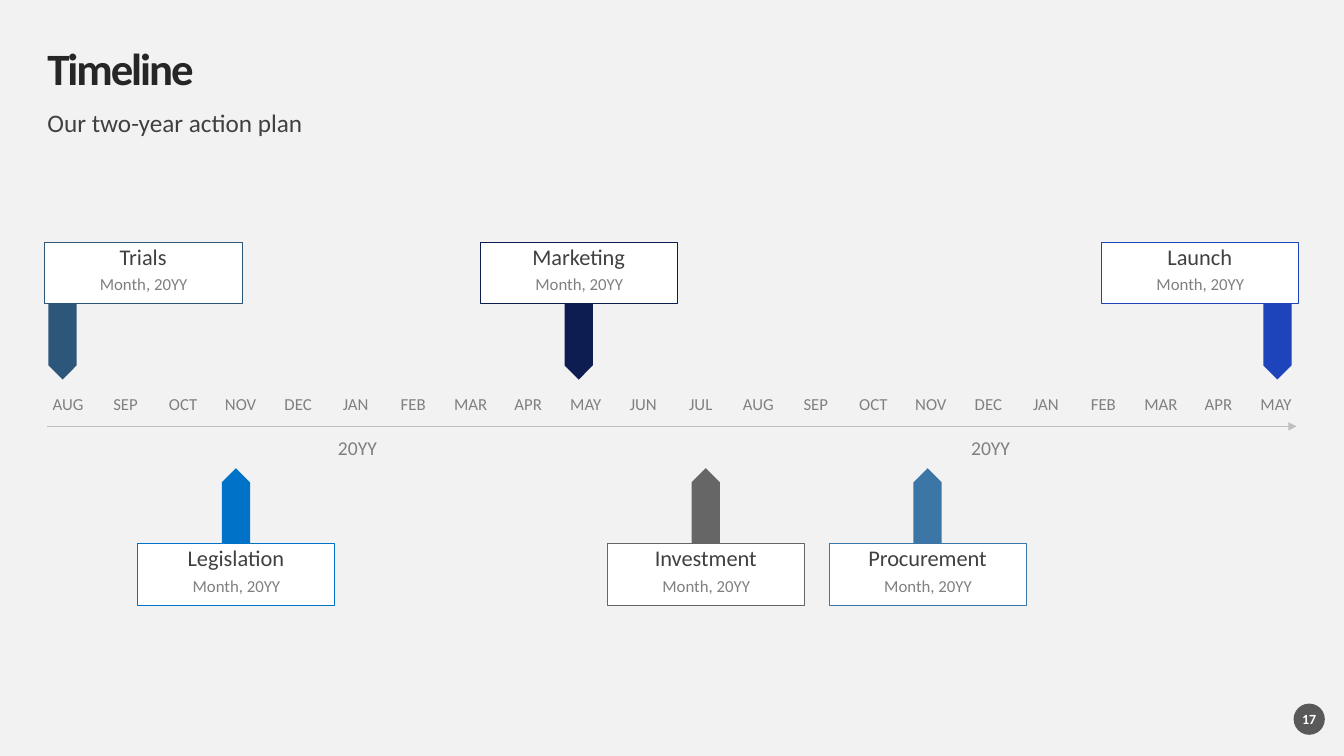
"""Build a two-year timeline slide with milestone callouts."""
from lxml import etree
from pptx import Presentation
from pptx.dml.color import RGBColor
from pptx.enum import shapes, text
from pptx.oxml import ns
from pptx.util import Inches, Pt

COLORS = {
    "background": "F2F2F2", "title": "262626", "body": "404040",
    "muted": "808080", "axis": "BFBFBF", "badge": "595959",
    "white": "FFFFFF", "trials": "2C567A", "legislation": "0072C7",
    "marketing": "0D1D51", "investment": "666666",
    "procurement": "3C76A6", "launch": "1E44BC",
}
FONT = "Calibri"
LEFT, WIDTH = 0.47, 12.39
MONTHS = ("AUG SEP OCT NOV DEC JAN FEB MAR APR MAY JUN "
          "JUL AUG SEP OCT NOV DEC JAN FEB MAR APR MAY").split()
MONTH_W = 0.41
MONTH_STEP = (WIDTH - MONTH_W) / (len(MONTHS) - 1)
BOX_W, BOX_H = 1.96, 0.61
PIN_LENGTH, PIN_W = 0.75, 0.28
MILESTONES = [
    ("Trials", 0.44, 0.62, True),
    ("Legislation", 1.36, 2.34, False),
    ("Marketing", 4.76, 5.74, True),
    ("Investment", 6.02, 7.0, False),
    ("Procurement", 8.22, 9.2, False),
    ("Launch", 10.92, 12.67, True),
]


def rgb(name):
    return RGBColor.from_string(COLORS[name])


def write(sp, words, size, color, bold=False, center=True, middle=False,
          inset=0, spacing=0.9, before=10):
    tf = sp.text_frame
    tf.text = words
    tf.word_wrap = True
    tf.margin_left = tf.margin_right = tf.margin_bottom = 0
    tf.margin_top = Inches(inset)
    tf.vertical_anchor = text.MSO_ANCHOR.MIDDLE if middle else text.MSO_ANCHOR.TOP
    p = tf.paragraphs[0]
    p.alignment = text.PP_ALIGN.CENTER if center else text.PP_ALIGN.LEFT
    p.line_spacing = spacing
    p.space_before = Pt(before)
    r = p.runs[0]
    r.font.name = FONT
    r.font.size = Pt(size)
    r.font.bold = bold
    r.font.color.rgb = rgb(color)
    return r


def add_label(s, at, words, size, color, **style):
    sp = s.shapes.add_textbox(*map(Inches, at))
    return write(sp, words, size, color, **style)


def add_block(s, kind, at, fill, line=None):
    sp = s.shapes.add_shape(kind, *map(Inches, at))
    sp.shadow.inherit = False
    sp.fill.solid()
    sp.fill.fore_color.rgb = rgb(fill)
    if line:
        sp.line.color.rgb = rgb(line)
        sp.line.width = Pt(0.25)
    else:
        sp.line.fill.background()
    return sp


def add_axis(s, y):
    axis = s.shapes.add_connector(
        shapes.MSO_CONNECTOR.STRAIGHT,
        Inches(LEFT), Inches(y), Inches(LEFT + WIDTH), Inches(y))
    axis.line.color.rgb = rgb("axis")
    axis.line.width = Pt(0.5)
    tail = etree.SubElement(axis.line._get_or_add_ln(), ns.qn("a:tailEnd"))
    tail.set("type", "triangle")
    etree.SubElement(axis._element.spPr, ns.qn("a:effectLst"))


def add_milestone(s, name, left, pin_x, above):
    color = name.lower()
    box_y, pin_y = (2.4, 3.25) if above else (5.39, 4.88)
    pin = add_block(s, shapes.MSO_SHAPE.PENTAGON,
                    (pin_x - PIN_LENGTH / 2, pin_y, PIN_LENGTH, PIN_W), color)
    pin.rotation = 90 if above else 270
    box = add_block(s, shapes.MSO_SHAPE.RECTANGLE,
                    (left, box_y, BOX_W, BOX_H), "white", color)
    write(box, name, 16, "body", inset=0.04)
    add_label(s, (left + 0.06, box_y + 0.34, 1.85, 0.25),
              "Month, 20YY", 12, "muted")


def main():
    prs = Presentation()
    prs.slide_width, prs.slide_height = Inches(13.33), Inches(7.5)
    s = prs.slides.add_slide(prs.slide_layouts[6])
    s.background.fill.solid()
    s.background.fill.fore_color.rgb = rgb("background")

    add_axis(s, 4.23)
    title = add_label(s, (LEFT, 0.47, WIDTH, 0.47), "Timeline", 32, "title",
                      bold=True, center=False, middle=True, before=0)
    title._r.get_or_add_rPr().set("spc", "-150")
    add_label(s, (LEFT, 1.1, WIDTH, 0.28), "Our two-year action plan",
              18, "body", center=False)

    for i, month in enumerate(MONTHS):
        add_label(s, (LEFT + i * MONTH_STEP, 3.93, MONTH_W, 0.22),
                  month, 12, "muted")
    for x in (3.32, 9.6):
        add_label(s, (x, 4.35, 0.45, 0.22), "20YY", 14, "muted", middle=True)
    for milestone in MILESTONES:
        add_milestone(s, *milestone)

    badge = add_block(s, shapes.MSO_SHAPE.OVAL, (12.83, 6.98, 0.31, 0.31), "badge")
    write(badge, "17", 10, "white", bold=True, middle=True, spacing=1.0, before=0)
    prs.save("out.pptx")


if __name__ == "__main__":
    main()
